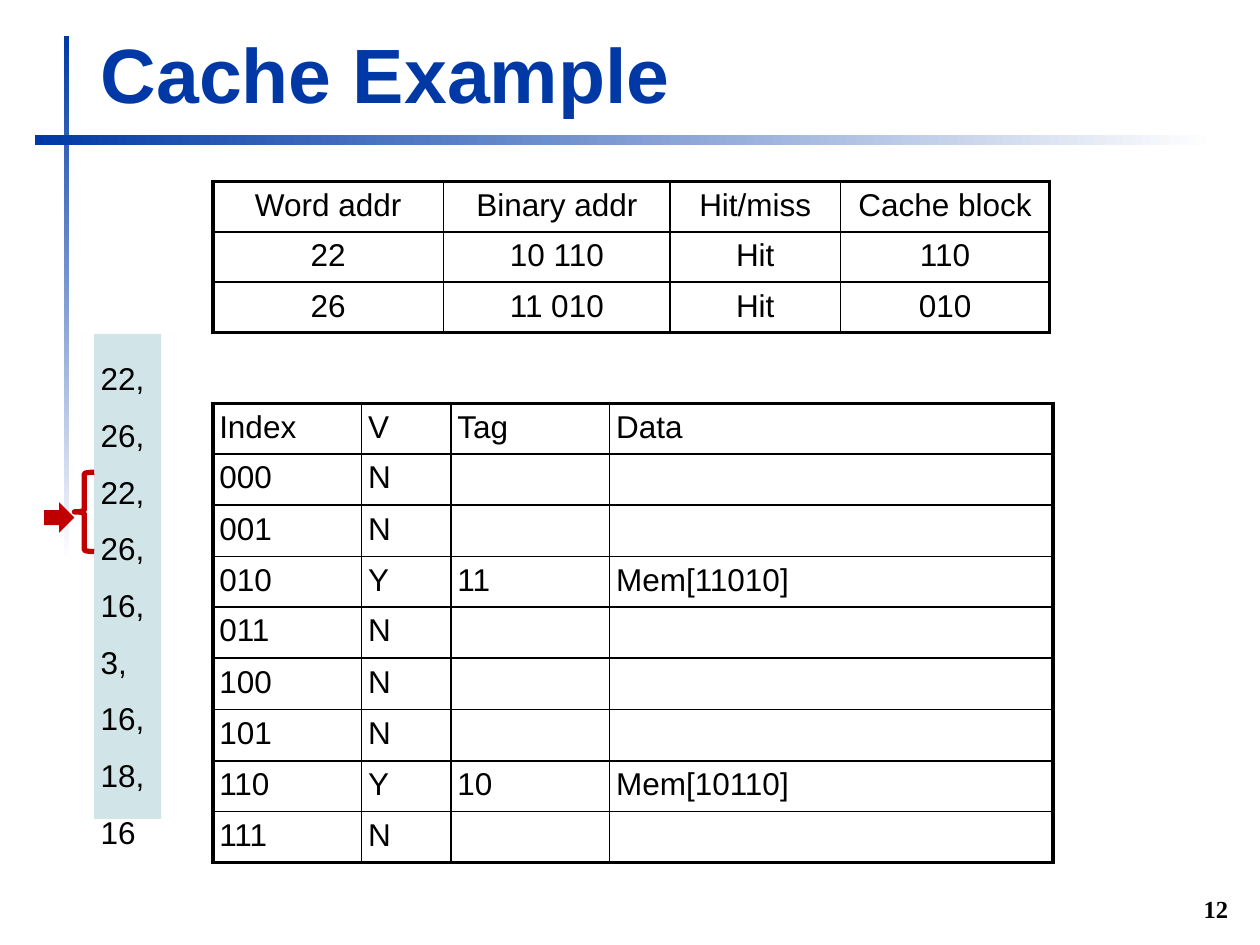
from collections import namedtuple

from lxml import etree
from pptx import Presentation
from pptx import util as u
from pptx.dml.color import RGBColor
from pptx.enum import shapes, text
from pptx.oxml.ns import qn

Box = namedtuple("Box", "left top width height")
COLOURS = {"blue": "0039A6", "white": "FFFFFF", "black": "000000",
           "teal": "9FCAD3", "red": "C00000"}
INSET = 0.13
THICK, MEDIUM, THIN = 2.25, 1.5, 1

ACCESSES = [
    ["Word addr", "Binary addr", "Hit/miss", "Cache block"],
    ["22", "10 110", "Hit", "110"],
    ["26", "11 010", "Hit", "010"],
]
STORED = {"010": ["Y", "11", "Mem[11010]"], "110": ["Y", "10", "Mem[10110]"]}
CACHE = [["Index", "V", "Tag", "Data"]] + [
    [index, *STORED.get(index, ["N", "", ""])]
    for index in (format(number, "03b") for number in range(8))
]
REQUESTS = ["22,", "26,", "22,", "26,", "16,", "3,", "16,", "18,", "16"]


def colour(name):
    return RGBColor.from_string(COLOURS[name])


def lengths(box):
    return [u.Cm(value) for value in box]


def write(frame, lines, size=18, font="Arial", ink="black", bold=False,
          align=text.PP_ALIGN.LEFT, spacing=None):
    for number, line in enumerate(lines):
        para = frame.paragraphs[0] if number == 0 else frame.add_paragraph()
        para.alignment = align
        para.line_spacing = spacing
        para.font.size = u.Pt(size)
        span = para.add_run()
        span.text = line
        span.font.name = font
        span.font.size = u.Pt(size)
        span.font.bold = bold
        span.font.color.rgb = colour(ink)


def set_frame(frame, anchor, wrap):
    frame.margin_left = frame.margin_right = u.Cm(INSET)
    frame.margin_top = frame.margin_bottom = u.Cm(INSET)
    frame.vertical_anchor = anchor
    frame.word_wrap = wrap
    frame.auto_size = text.MSO_AUTO_SIZE.NONE


def add_plain(page, kind, box):
    shape = page.shapes.add_shape(kind, *lengths(box))
    shape.shadow.inherit = False
    shape.line.fill.background()
    return shape


def add_bar(page, box, angle):
    bar = add_plain(page, shapes.MSO_SHAPE.RECTANGLE, box)
    bar.fill.gradient()
    bar.fill.gradient_angle = angle
    for stop, name in zip(bar.fill.gradient_stops, ("white", "blue")):
        stop.color.rgb = colour(name)


def add_header(page, box):
    add_bar(page, Box(box.left + 0.6, box.top + 0.31, 0.1, 10.59), 90)
    add_bar(page, Box(box.left, box.top + 2.31, 23.8, 0.2), 180)
    title = page.shapes.title
    title.left, title.top, title.width, title.height = lengths(
        Box(box.left + 1.2, box.top, box.width - 1.2, box.height))
    set_frame(title.text_frame, text.MSO_ANCHOR.BOTTOM, True)
    write(title.text_frame, ["Cache Example"], size=44, ink="blue", bold=True)


def set_border(cell, side, width):
    line = etree.SubElement(cell._tc.get_or_add_tcPr(), qn(f"a:ln{side}"),
                            w=str(u.Pt(width)))
    fill = etree.SubElement(line, qn("a:solidFill"))
    etree.SubElement(fill, qn("a:srgbClr"), val=COLOURS["black"])


def add_grid(page, box, rows, widths, align, rule):
    grid = page.shapes.add_table(len(rows), len(widths), *lengths(box)).table
    grid.first_row = grid.horz_banding = False
    for column, width in zip(grid.columns, widths):
        column.width = u.Cm(width)
    across = [THICK] + [THIN] * (len(widths) - 1) + [THICK]
    down = [THICK, MEDIUM] + [rule] * (len(rows) - 2) + [THICK]
    for row, values in enumerate(rows):
        for column, value in enumerate(values):
            cell = grid.cell(row, column)
            cell.margin_left = cell.margin_right = u.Cm(INSET)
            cell.margin_top = cell.margin_bottom = u.Cm(INSET)
            set_border(cell, "L", across[column])
            set_border(cell, "R", across[column + 1])
            set_border(cell, "T", down[row])
            set_border(cell, "B", down[row + 1])
            cell.fill.background()
            if value:
                write(cell.text_frame, [value], align=align)


def add_requests(page, box):
    panel = add_plain(page, shapes.MSO_SHAPE.RECTANGLE,
                      Box(box.left + 1.01, box.top, box.width - 1.01, box.height))
    panel.fill.solid()
    panel.fill.fore_color.rgb = colour("teal")
    tint = panel.fill._xPr.find(".//" + qn("a:srgbClr"))
    etree.SubElement(tint, qn("a:alpha"), val="48000")
    set_frame(panel.text_frame, text.MSO_ANCHOR.TOP, False)
    write(panel.text_frame, REQUESTS, spacing=1.5)

    arrow = add_plain(page, shapes.MSO_SHAPE.RIGHT_ARROW,
                      Box(box.left, box.top + 3.4, 0.61, 0.61))
    arrow.fill.solid()
    arrow.fill.fore_color.rgb = colour("red")

    brace = add_plain(page, shapes.MSO_SHAPE.LEFT_BRACE,
                      Box(box.left + 0.61, box.top + 2.79, 0.4, 1.6))
    brace.fill.background()
    brace.line.color.rgb = colour("red")
    brace.line.width = u.Pt(3)


def add_number(page, box):
    frame = page.shapes.add_textbox(*lengths(box)).text_frame
    set_frame(frame, text.MSO_ANCHOR.BOTTOM, False)
    write(frame, ["12"], size=14, font="Times New Roman", bold=True,
          align=text.PP_ALIGN.RIGHT)


def main():
    deck = Presentation()
    deck.slide_width, deck.slide_height = u.Cm(25.4), u.Cm(19.05)
    page = deck.slides.add_slide(deck.slide_layouts[5])
    add_header(page, Box(0.7, 0.41, 24.14, 2.11))
    add_number(page, Box(24.05, 17.93, 0.84, 0.81))
    add_grid(page, Box(4.29, 8.13, 16.94, 9.14), CACHE,
             [3, 1.8, 3.2, 8.94], text.PP_ALIGN.LEFT, THIN)
    add_grid(page, Box(4.29, 3.66, 16.87, 3.05), ACCESSES,
             [4.65, 4.57, 3.43, 4.22], text.PP_ALIGN.CENTER, MEDIUM)
    add_requests(page, Box(0.89, 6.73, 2.36, 9.78))
    deck.save("out.pptx")


if __name__ == "__main__":
    main()
